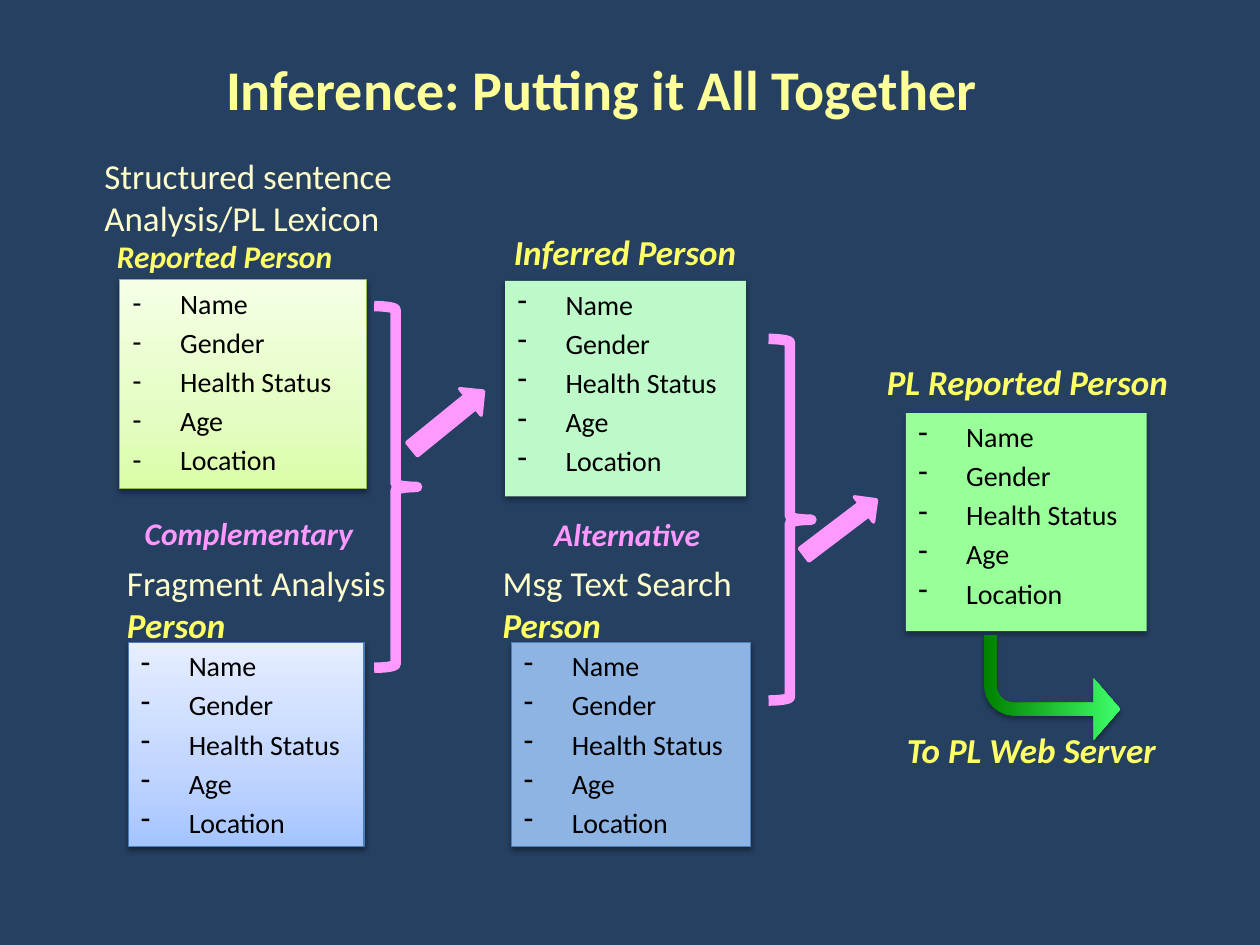
from copy import deepcopy

from lxml.etree import SubElement
from pptx import Presentation
from pptx.dml.color import RGBColor
from pptx.enum.shapes import MSO_SHAPE
from pptx.enum.text import MSO_ANCHOR, MSO_AUTO_SIZE, PP_ALIGN
from pptx.oxml.ns import qn
from pptx.util import Inches, Pt

WIDTH, HEIGHT = Inches(10), Inches(7.5)
COLUMN, ROW = WIDTH / 100, HEIGHT / 75
FONT = "Calibri"
FIELDS = ["Name", "Gender", "Health Status", "Age", "Location"]

NAVY = RGBColor(0x25, 0x40, 0x61)
BLACK = RGBColor(0, 0, 0)
TITLE_YELLOW = RGBColor(0xFF, 0xFF, 0x99)
CREAM = RGBColor(0xFF, 0xFF, 0xCC)
YELLOW = RGBColor(0xFF, 0xFF, 0x66)
PINK = RGBColor(0xFF, 0x99, 0xFF)
MINT = RGBColor(0xBE, 0xFA, 0xC9)
GREEN = RGBColor(0x99, 0xFF, 0x99)
SKY = RGBColor(0x8E, 0xB4, 0xE3)
BLUE_LINE = RGBColor(0x4B, 0x7E, 0xBC)
LIME_LINE = RGBColor(0x98, 0xB9, 0x55)
LIME_STOPS = [(0, RGBColor(0xDA, 0xFD, 0xA7)), (0.35, RGBColor(0xE4, 0xFD, 0xC2)),
              (1, RGBColor(0xF5, 0xFF, 0xE6))]
BLUE_STOPS = [(0, RGBColor(0xA4, 0xC4, 0xFF)), (0.35, RGBColor(0xBF, 0xD4, 0xFF)),
              (1, RGBColor(0xE6, 0xEE, 0xFF))]
ARROW_STOPS = [(0, RGBColor(0, 0x80, 0)), (1, RGBColor(0x3F, 0xFF, 0x6B))]


def frame(left, top, width, height):
    return [round(length) for length in
            (left * COLUMN, top * ROW, width * COLUMN, height * ROW)]


def place(shape, *cells):
    shape.left, shape.top, shape.width, shape.height = frame(*cells)


def add_run(paragraph, text, size, color, bold=False, italic=False):
    run = paragraph.add_run()
    run.text = text
    font = run.font
    font.name, font.size, font.bold, font.italic = FONT, Pt(size), bold, italic
    font.color.rgb = color


def paint(shape, fill, angle=90):
    if isinstance(fill, RGBColor):
        shape.fill.solid()
        shape.fill.fore_color.rgb = fill
        return
    shape.fill.gradient()
    shape.fill.gradient_angle = angle
    stop_list = shape._element.spPr.find(".//" + qn("a:gsLst"))
    while len(stop_list) < len(fill):
        stop_list.append(deepcopy(stop_list[0]))
    for stop, (position, color) in zip(shape.fill.gradient_stops, fill):
        stop.position = position
        stop.color.rgb = color


def outline(shape, color, width):
    if color is None:
        shape.line.fill.background()
    else:
        shape.line.color.rgb = color
        shape.line.width = Pt(width)


def add_shadow(shape, opacity, distance):
    shape.shadow.inherit = False
    effects = shape._element.spPr.find(qn("a:effectLst"))
    shadow = SubElement(effects, qn("a:outerShdw"), blurRad=str(Pt(3.1)),
                        dist=str(Pt(distance)), dir="5400000", rotWithShape="0")
    color = SubElement(shadow, qn("a:srgbClr"), val="000000")
    SubElement(color, qn("a:alpha"), val=str(opacity * 1000))


def add_bullet(paragraph):
    properties = paragraph._p.get_or_add_pPr()
    properties.set("marL", str(Inches(0.38)))
    properties.set("indent", str(-Inches(0.38)))
    before = SubElement(properties, qn("a:spcBef"))
    SubElement(before, qn("a:spcPct"), val="20000")
    SubElement(properties, qn("a:buChar"), char="-")


def fill_record(shape, fill, line=None, opacity=38, distance=1.6):
    paint(shape, fill)
    outline(shape, line, 0.75)
    add_shadow(shape, opacity, distance)
    text_frame = shape.text_frame
    text_frame.word_wrap = True
    text_frame.auto_size = MSO_AUTO_SIZE.NONE
    text_frame.vertical_anchor = MSO_ANCHOR.TOP
    for index, field in enumerate(FIELDS):
        paragraph = text_frame.add_paragraph() if index else text_frame.paragraphs[0]
        paragraph.alignment = PP_ALIGN.LEFT
        add_bullet(paragraph)
        add_run(paragraph, field, 16, BLACK)


def add_record(slide, cells, *style):
    shape = slide.shapes.add_shape(MSO_SHAPE.RECTANGLE, *frame(*cells))
    fill_record(shape, *style)


def add_label(slide, cells, source=None, name=None, size=20, color=YELLOW):
    text_frame = slide.shapes.add_textbox(*frame(*cells)).text_frame
    text_frame.word_wrap = True
    paragraph = text_frame.paragraphs[0]
    if source:
        add_run(paragraph, source, size, CREAM)
    if source and name:
        paragraph = text_frame.add_paragraph()
    if name:
        add_run(paragraph, name, size, color, bold=True, italic=True)


def add_brace(slide, left, top):
    brace = slide.shapes.add_shape(MSO_SHAPE.RIGHT_BRACE, *frame(left, top, 3.4, 28.7))
    brace.shadow.inherit = False
    brace.fill.background()
    outline(brace, PINK, 6)


def add_arrow(slide, cells, rotation):
    arrow = slide.shapes.add_shape(MSO_SHAPE.RIGHT_ARROW, *frame(*cells))
    arrow.shadow.inherit = False
    arrow.rotation = rotation
    paint(arrow, PINK)
    outline(arrow, PINK, 2)


def add_server_arrow(slide):
    arrow = slide.shapes.add_shape(MSO_SHAPE.BENT_ARROW, *frame(78.1, 50.4, 10.8, 8.3))
    for index, value in enumerate((0.119, 0.291, 0.25, 0.288)):
        arrow.adjustments[index] = value
    arrow._element.spPr.find(qn("a:xfrm")).set("flipV", "1")
    paint(arrow, ARROW_STOPS, angle=0)
    outline(arrow, None, 0)
    add_shadow(arrow, 35, 1.8)


def add_title(slide, text):
    title = slide.shapes.title
    place(title, 8.6, 3.9, 78.3, 6.2)
    title.text_frame.auto_size = MSO_AUTO_SIZE.NONE
    title.text_frame.vertical_anchor = MSO_ANCHOR.MIDDLE
    paragraph = title.text_frame.paragraphs[0]
    paragraph.alignment = PP_ALIGN.CENTER
    add_run(paragraph, text, 32, TITLE_YELLOW, bold=True)


def main():
    presentation = Presentation()
    presentation.slide_width, presentation.slide_height = WIDTH, HEIGHT
    slide = presentation.slides.add_slide(presentation.slide_layouts[1])
    slide.background.fill.solid()
    slide.background.fill.fore_color.rgb = NAVY

    add_title(slide, "Inference: Putting it All Together")
    reported = slide.placeholders[1]
    place(reported, 9.5, 22.2, 19.6, 16.6)
    fill_record(reported, LIME_STOPS, LIME_LINE)
    add_record(slide, (10.2, 51, 18.7, 16.2), BLUE_STOPS, BLUE_LINE)
    add_record(slide, (40.1, 22.3, 19.1, 17.1), MINT)
    add_record(slide, (40.6, 51, 19, 16.2), SKY, BLUE_LINE)
    add_record(slide, (71.9, 32.8, 19.1, 17.3), GREEN, None, 35, 1.8)

    add_label(slide, (7.3, 11.8, 27.3, 7.7), "Structured sentence Analysis/PL Lexicon")
    add_label(slide, (8.3, 18.3, 19.9, 4), name="Reported Person", size=18)
    add_label(slide, (39.8, 17.8, 23.4, 4.4), name="Inferred Person")
    add_label(slide, (9.1, 44.1, 24.3, 7.7), "Fragment Analysis", "Person")
    add_label(slide, (38.9, 44.1, 27.2, 7.7), "Msg Text Search", "Person")

    add_brace(slide, 29.7, 24.3)
    add_arrow(slide, (31.9, 32, 7.3, 2.7), 320.9)
    add_brace(slide, 61, 26.9)
    add_arrow(slide, (63.1, 40.6, 7.2, 2.5), 322.8)
    add_server_arrow(slide)

    add_label(slide, (69.4, 28.1, 25.6, 4.4), name="PL Reported Person")
    add_label(slide, (71, 57.3, 23.4, 4.4), name="To PL Web Server")
    add_label(slide, (10.5, 40.3, 18.8, 4), name="Complementary", size=18, color=PINK)
    add_label(slide, (43, 40.4, 14.8, 4), name="Alternative", size=18, color=PINK)
    presentation.save("out.pptx")


main()
